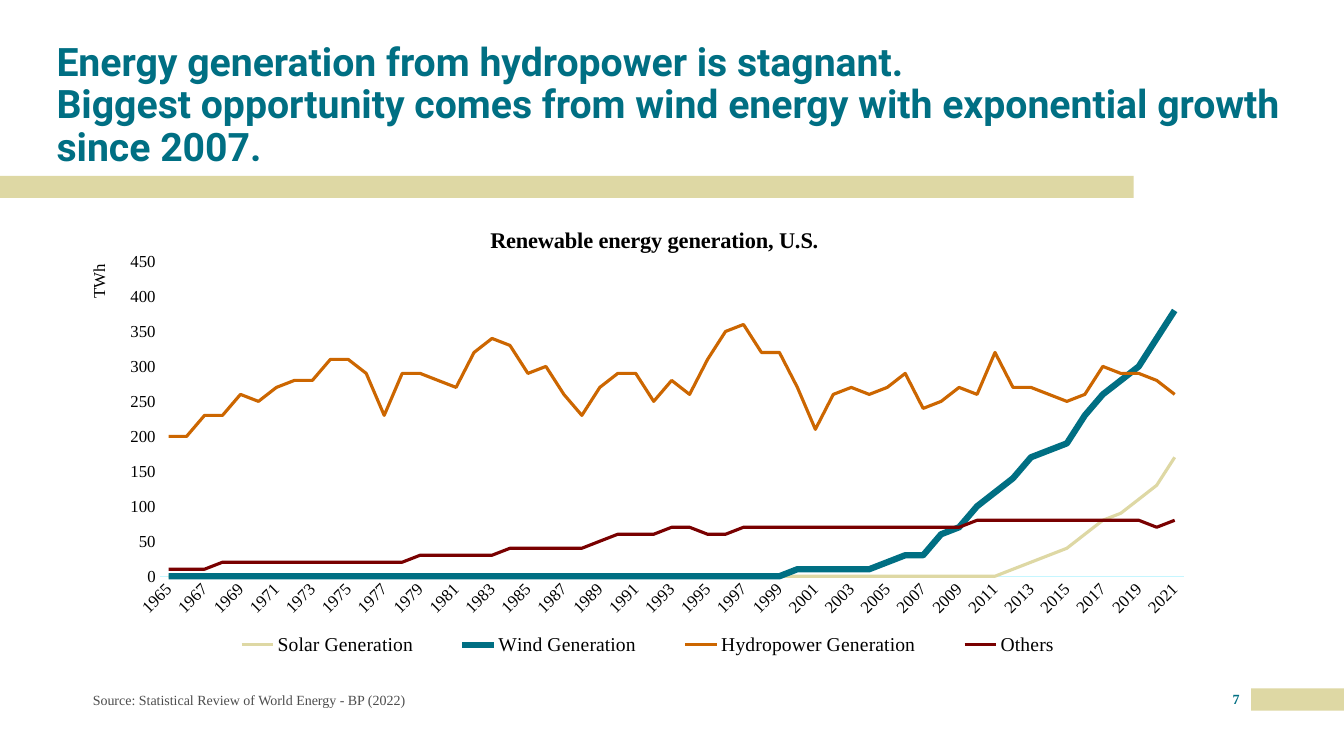
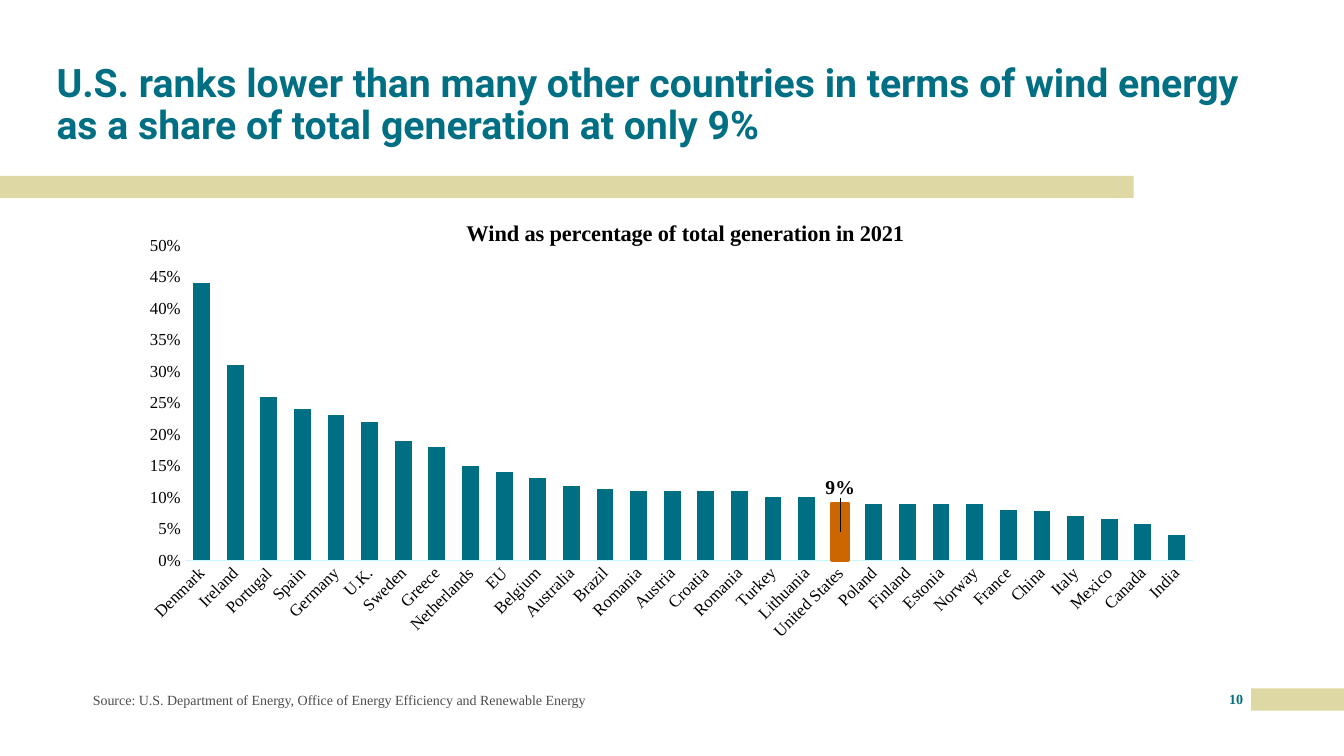
from lxml.etree import SubElement
from pptx import Presentation
from pptx.chart.data import CategoryChartData
from pptx.dml.color import RGBColor
from pptx.enum.chart import XL_CHART_TYPE, XL_LEGEND_POSITION, XL_TICK_MARK
from pptx.enum.shapes import MSO_SHAPE
from pptx.enum.text import MSO_ANCHOR, MSO_AUTO_SIZE, PP_ALIGN
from pptx.oxml.ns import qn
from pptx.util import Cm, Pt

TEAL, SAND, RUST, WINE = "006F83", "DED8A4", "CC6600", "790000"
BLACK, GREY, PALE = "000000", "4D4D4D", "C6F6FF"
SERIF = "Times New Roman"

# Text formats
HEAD = {"name": "Roboto", "size": Pt(28), "bold": True, "color": TEAL}
PAGE = {"name": SERIF, "size": Pt(10), "bold": True, "color": TEAL}
NOTE = {"name": SERIF, "size": Pt(10), "bold": False, "color": GREY}
CAPTION = {"name": SERIF, "size": Pt(16), "bold": True, "color": BLACK}
AXIS = {"name": SERIF, "size": Pt(12), "bold": False, "color": BLACK}
LEGEND = {**AXIS, "size": Pt(14)}
LABEL = {**LEGEND, "bold": True}


def paint(value):
    return RGBColor.from_string(value)


def format_font(font, style):
    for key, value in style.items():
        if key == "color":
            font.color.rgb = paint(value)
        else:
            setattr(font, key, value)


def place(parent, index, inner=False, **parts):
    """Give a chart part a manual layout (fractions of the chart)."""
    for old in parent.findall(qn("c:layout")):
        parent.remove(old)
    layout = SubElement(parent, qn("c:layout"))
    parent.insert(index, layout)
    manual = SubElement(layout, qn("c:manualLayout"))
    if inner:
        SubElement(manual, qn("c:layoutTarget")).set("val", "inner")
    for key, value in parts.items():
        SubElement(manual, qn("c:" + key)).set("val", str(value))


def edge(**parts):
    return {"xMode": "edge", "yMode": "edge", **parts}


class Deck:
    def __init__(self):
        self.prs = Presentation()
        self.prs.slide_width, self.prs.slide_height = Cm(33.87), Cm(19.05)
        self.layout = self.prs.slide_layouts[5]
        self.slide = None

    def page(self, title, number, source):
        first = self.slide is None
        self.slide = self.prs.slides.add_slide(self.layout)
        if first:
            self.band(31.53, 17.35, 2.34, 0.56)
            self.band(0, 4.43, 28.57, 0.56)
        self.title(title)
        self.text(number, PAGE, 30.78, 17.4, 0.74, 0.64,
                  PP_ALIGN.CENTER, MSO_ANCHOR.TOP)
        self.text(source, NOTE, 2.34, 17.35, 13, 0.58)

    def band(self, *box):
        """Draw a band and hand it to the shared layout."""
        band = self.slide.shapes.add_shape(MSO_SHAPE.RECTANGLE, *map(Cm, box))
        band.shadow.inherit = False
        band.fill.solid()
        band.fill.fore_color.rgb = paint(SAND)
        band.line.fill.background()
        self.layout.shapes.element.append(band.element)

    def title(self, text):
        title = self.slide.shapes.title
        title.left, title.top, title.width, title.height = map(
            Cm, (1.17, 1.02, 31.55, 3.3))
        frame = title.text_frame
        frame.text = text
        frame.auto_size = MSO_AUTO_SIZE.NONE
        frame.vertical_anchor = MSO_ANCHOR.MIDDLE
        para = frame.paragraphs[0]
        para.alignment, para.line_spacing = PP_ALIGN.LEFT, 0.9
        for run in para.runs:
            format_font(run.font, HEAD)

    def text(self, text, style, x, y, w, h, align=PP_ALIGN.LEFT,
             anchor=MSO_ANCHOR.MIDDLE):
        frame = self.slide.shapes.add_textbox(
            Cm(x), Cm(y), Cm(w), Cm(h)).text_frame
        frame.word_wrap, frame.vertical_anchor = True, anchor
        for side in ("left", "right", "top", "bottom"):
            setattr(frame, "margin_" + side, 0)
        para = frame.paragraphs[0]
        para.alignment = align
        run = para.add_run()
        run.text = text
        format_font(run.font, style)

    def chart(self, kind, data, top, title, spot, plot, peak, step):
        chart = self.slide.shapes.add_chart(
            kind, Cm(1.4), Cm(top), Cm(30.15), Cm(12.24), data).chart
        format_font(chart.font, {**NOTE, "color": TEAL})
        chart.has_legend = False
        self.caption(chart.chart_title, title, CAPTION)
        place(chart.element.xpath("c:chart/c:title")[0], 1, **spot)
        place(chart.element.xpath("c:chart/c:plotArea")[0], 0, True, **plot)
        # Axes
        cat, val = chart.category_axis, chart.value_axis
        for axis in (cat, val):
            axis.has_major_gridlines = False
            axis.major_tick_mark = axis.minor_tick_mark = XL_TICK_MARK.NONE
            format_font(axis.tick_labels.font, AXIS)
        val.minimum_scale, val.maximum_scale, val.major_unit = 0, peak, step
        val.format.line.fill.background()
        cat.format.line.color.rgb = paint(PALE)
        cat.format.line.width = Pt(0.75)
        body = chart.element.xpath(".//c:catAx/c:txPr/a:bodyPr")[0]
        body.set("rot", "-2700000")
        body.set("vert", "horz")
        chart.plots[0].vary_by_categories = False
        return chart

    def caption(self, holder, text, style):
        frame = holder.text_frame
        frame.text = text
        format_font(frame.paragraphs[0].runs[0].font, style)

    def lines(self, chart, looks):
        for series, (color, width) in zip(chart.series, looks):
            series.smooth = False
            series.format.line.color.rgb = paint(color)
            series.format.line.width = Pt(width)

    def legend(self, chart, spot):
        chart.has_legend = True
        chart.legend.position = XL_LEGEND_POSITION.BOTTOM
        chart.legend.include_in_layout = False
        format_font(chart.legend.font, LEGEND)
        place(chart.element.xpath("c:chart/c:legend")[0], 1, **spot)

    def unit(self, chart, text, spot):
        self.caption(chart.value_axis.axis_title, text, AXIS)
        place(chart.element.xpath(".//c:valAx/c:title")[0], 1, **spot)

    def skip(self, chart, count):
        last = chart.element.xpath(".//c:catAx/c:noMultiLvlLbl")[0]
        mark = SubElement(last.getparent(), qn("c:tickLblSkip"))
        mark.set("val", str(count))
        last.addprevious(mark)

    def accent(self, chart, index, color, lift):
        """Colour one column and raise its label above it."""
        point = chart.series[0].points[index]
        point.format.fill.solid()
        point.format.fill.fore_color.rgb = paint(color)
        point.format.line.color.rgb = paint(color)
        point.format.line.width = Pt(2)
        format_font(point.data_label.font, LABEL)
        place(chart.element.xpath(".//c:dLbl")[0], 1, x=0, y=lift)


SOLAR = [0] * 47 + [10, 20, 30, 40, 60, 80, 90, 110, 130, 170]
WIND = [0] * 35 + [10] * 5 + [
    20, 30, 30, 60, 70, 100, 120, 140, 170, 180, 190, 230, 260, 280, 300,
    340, 380]
HYDRO = [
    200, 200, 230, 230, 260, 250, 270, 280, 280, 310, 310, 290, 230, 290, 290,
    280, 270, 320, 340, 330, 290, 300, 260, 230, 270, 290, 290, 250, 280, 260,
    310, 350, 360, 320, 320, 270, 210, 260, 270, 260, 270, 290, 240, 250, 270,
    260, 320, 270, 270, 260, 250, 260, 300, 290, 290, 280, 260]
OTHERS = ([10] * 3 + [20] * 11 + [30] * 5 + [40] * 5 + [50] + [60] * 3
          + [70, 70, 60, 60] + [70] * 13 + [80] * 10 + [70, 80])
SOURCES = [  # name, values, colour, line width
    ("Solar Generation", SOLAR, SAND, 2.25),
    ("Wind Generation", WIND, TEAL, 4.5),
    ("Hydropower Generation", HYDRO, RUST, 2.25),
    ("Others", OTHERS, WINE, 2.25)]

SHARES = [
    ("Denmark", 0.44), ("Ireland", 0.31), ("Portugal", 0.26), ("Spain", 0.24),
    ("Germany", 0.23), ("U.K.", 0.22), ("Sweden", 0.19), ("Greece", 0.18),
    ("Netherlands", 0.15), ("EU", 0.14), ("Belgium", 0.13),
    ("Australia", 0.118), ("Brazil", 0.113), ("Romania", 0.11),
    ("Austria", 0.11), ("Croatia", 0.11), ("Romania", 0.11), ("Turkey", 0.1),
    ("Lithuania", 0.1), ("United States", 0.091), ("Poland", 0.09),
    ("Finland", 0.09), ("Estonia", 0.09), ("Norway", 0.09), ("France", 0.08),
    ("China", 0.078), ("Italy", 0.07), ("Mexico", 0.066), ("Canada", 0.0577),
    ("India", 0.04)]


def growth(deck):
    deck.page("Energy generation from hydropower is stagnant. \v"
              "Biggest opportunity comes from wind energy with exponential "
              "growth since 2007.", "7",
              "Source: Statistical Review of World Energy - BP (2022)")
    data = CategoryChartData()
    data.categories = [str(year) for year in range(1965, 2022)]
    for name, values, *_ in SOURCES:
        data.add_series(name, values)
    chart = deck.chart(
        XL_CHART_TYPE.LINE, data, 5.11, "Renewable energy generation, U.S.",
        edge(x=0.36, y=0.04), edge(x=0.087, y=0.121, w=0.856, h=0.648),
        450, 50)
    deck.lines(chart, [look for *_, color, width in SOURCES
                       for look in [(color, width)]])
    deck.unit(chart, "TWh", edge(x=0.025, y=0.12))
    deck.skip(chart, 2)
    deck.legend(chart, edge(x=0.12, y=0.87, w=0.75, h=0.08))


def ranking(deck):
    deck.page("U.S. ranks lower than many other countries in terms of wind "
              "energy as a share of total generation at only 9%", "10",
              "Source: U.S. Department of Energy, Office of Energy Efficiency "
              "and Renewable Energy")
    names, values = zip(*SHARES)
    data = CategoryChartData(number_format="0%")
    data.categories = names
    data.add_series("Series 1", values)
    chart = deck.chart(
        XL_CHART_TYPE.COLUMN_STACKED, data, 5.16,
        "Wind as percentage of total generation in 2021",
        edge(x=0.34, y=0.02), edge(x=0.108, y=0.084, w=0.843, h=0.648),
        0.5, 0.05)
    plot = chart.plots[0]
    plot.gap_width, plot.overlap = 100, 100
    fill = plot.series[0].format.fill
    fill.solid()
    fill.fore_color.rgb = paint(TEAL)
    deck.accent(chart, names.index("United States"), RUST, -0.09)


def main():
    deck = Deck()
    growth(deck)
    ranking(deck)
    deck.prs.save("out.pptx")


if __name__ == "__main__":
    main()
